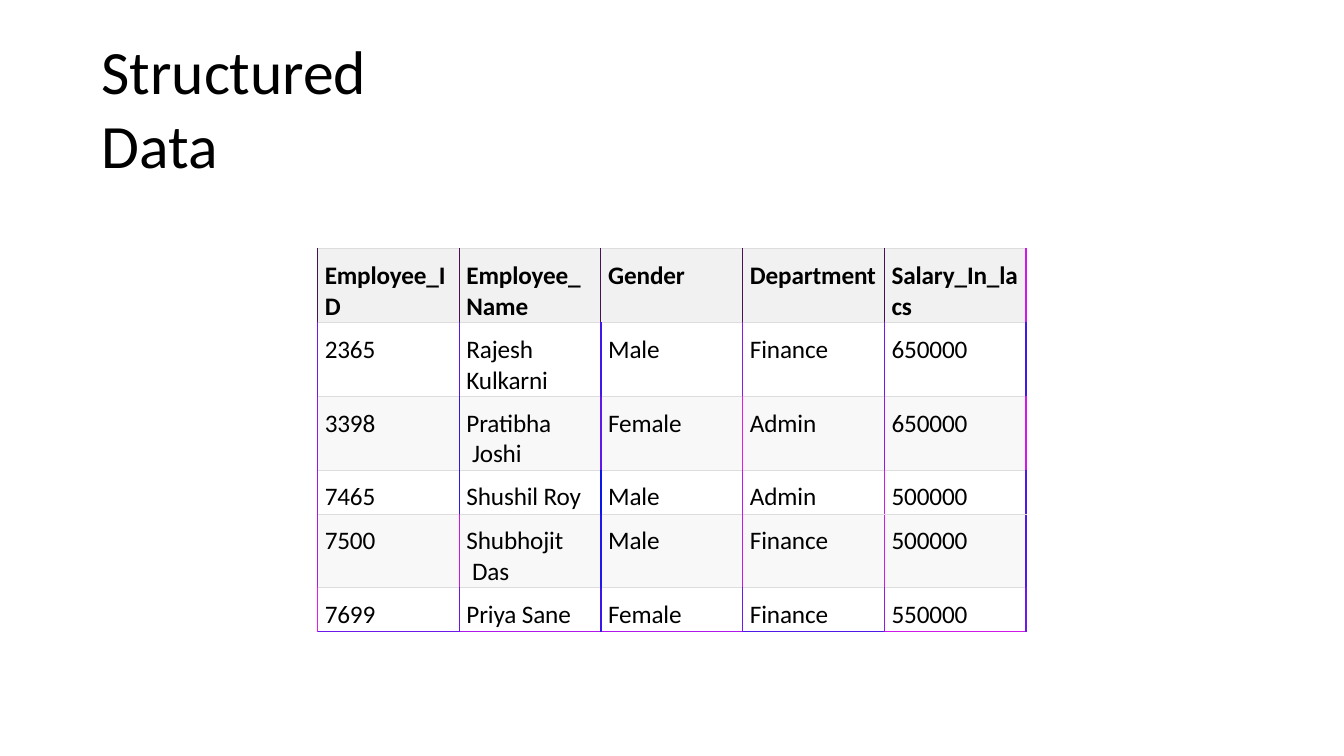
from dataclasses import dataclass

from lxml.etree import SubElement
from pptx import Presentation
from pptx.dml.color import RGBColor as Rgb
from pptx.enum.text import MSO_ANCHOR as Anchor, MSO_AUTO_SIZE as Fit, PP_ALIGN as Align
from pptx.oxml.ns import qn
from pptx.util import Pt


@dataclass(frozen=True)
class Theme:
    face: str = "Calibri"
    ink: str = "000000"
    head: str = "F1F1F1"
    plain: str = "FFFFFF"
    band: str = "F8F8F8"
    rule: str = "DDDDDD"
    title: float = 44
    body: float = 18


THEME = Theme()
THIN, THICK = 0.75, 1

ROWS = [
    ["Employee_I\nD", "Employee_\nName", "Gender", "Department", "Salary_In_la\ncs"],
    ["2365", "Rajesh Kulkarni", "Male", "Finance", "650000"],
    ["3398", "Pratibha\v Joshi", "Female", "Admin", "650000"],
    ["7465", "Shushil Roy", "Male", "Admin", "500000"],
    ["7500", "Shubhojit\v Das", "Male", "Finance", "500000"],
    ["7699", "Priya Sane", "Female", "Finance", "550000"],
]
TALL, LOW = 52.7, 31.4
HEIGHTS = [TALL, TALL, TALL, LOW, TALL, LOW]

# Upright line colours: one more per row than there are columns
EDGES = [
    ["471250"] * 5 + ["D018EB"],
    ["6F18EB", "5718EB", "4018EB", "9017EB", "7817EB", "4018EB"],
    ["9017EB", "2F17EB", "5F17EB", "E818EB", "9717EB", "D018EB"],
    ["9F18EB", "2818EB", "0817EB", "C017EB", "D018EB", "5017EB"],
    ["AF17EB", "C717EB", "1F17EB", "C717EB", "D018EB", "5017EB"],
    ["E818EB", "6817EB", "3817EB", "6F18EB", "9717EB", "6F18EB"],
]
BASE = ["6F18EB", "AF17EB", "AF17EB", "5017EB", "D018EB"]


def apply(item, **values):
    for name, value in values.items():
        setattr(item, name, value)


def style(frame, size, bold=False):
    for para in frame.paragraphs:
        para.alignment = Align.LEFT
        for run in para.runs:
            apply(run.font, name=THEME.face, size=Pt(size), bold=bold)
            run.font.color.rgb = Rgb.from_string(THEME.ink)
            run.font._element.set("spc", "-10")


def border(cell, side, color, width):
    line = SubElement(cell._tc.get_or_add_tcPr(), qn(f"a:ln{side}"), w=str(Pt(width)))
    fill = SubElement(line, qn("a:solidFill"))
    SubElement(fill, qn("a:srgbClr"), val=color)


def add_title(slide, x, y, w, h):
    title = slide.shapes.title
    apply(title, left=Pt(x), top=Pt(y), width=Pt(w), height=Pt(h))
    frame = title.text_frame
    frame.text = "Structured Data"
    apply(frame, margin_left=0, margin_right=0, margin_top=Pt(1), margin_bottom=0,
          word_wrap=True, vertical_anchor=Anchor.MIDDLE, auto_size=Fit.SHAPE_TO_FIT_TEXT)
    style(frame, THEME.title)


def add_cell(cell, text, row, col):
    # Borders go before the fill
    last = row == len(ROWS) - 1
    side = THICK if row else THIN
    edge = EDGES[row]
    border(cell, "L", edge[col], side)
    border(cell, "R", edge[col + 1], THIN if edge[col + 1] == "471250" else THICK)
    border(cell, "T", THEME.rule, THIN)
    border(cell, "B", BASE[col] if last else THEME.rule, THICK if last else THIN)
    cell.fill.solid()
    shade = THEME.head if row == 0 else (THEME.plain, THEME.band)[(row + 1) % 2]
    cell.fill.fore_color.rgb = Rgb.from_string(shade)

    apply(cell, margin_left=Pt(5.2), margin_right=0, margin_top=Pt(8.4), margin_bottom=0,
          vertical_anchor=Anchor.TOP)
    cell.text_frame.text = text
    style(cell.text_frame, THEME.body, bold=row == 0)


def add_staff(slide, x, y, w):
    count = len(ROWS[0])
    table = slide.shapes.add_table(
        len(ROWS), count, Pt(x), Pt(y), Pt(w), Pt(sum(HEIGHTS))).table
    apply(table, first_row=False, horz_banding=False)
    for col in table.columns:
        col.width = Pt(w / count)
    for row, texts in enumerate(ROWS):
        table.rows[row].height = Pt(HEIGHTS[row])
        for col, text in enumerate(texts):
            add_cell(table.cell(row, col), text, row, col)


def main():
    deck = Presentation()
    apply(deck, slide_width=Pt(960), slide_height=Pt(540))
    slide = deck.slides.add_slide(deck.slide_layouts[5])
    add_title(slide, 72.7, 48.2, 281, 54.7)
    add_staff(slide, 226.8, 177.8, 506.2)
    deck.save("out.pptx")


if __name__ == "__main__":
    main()
